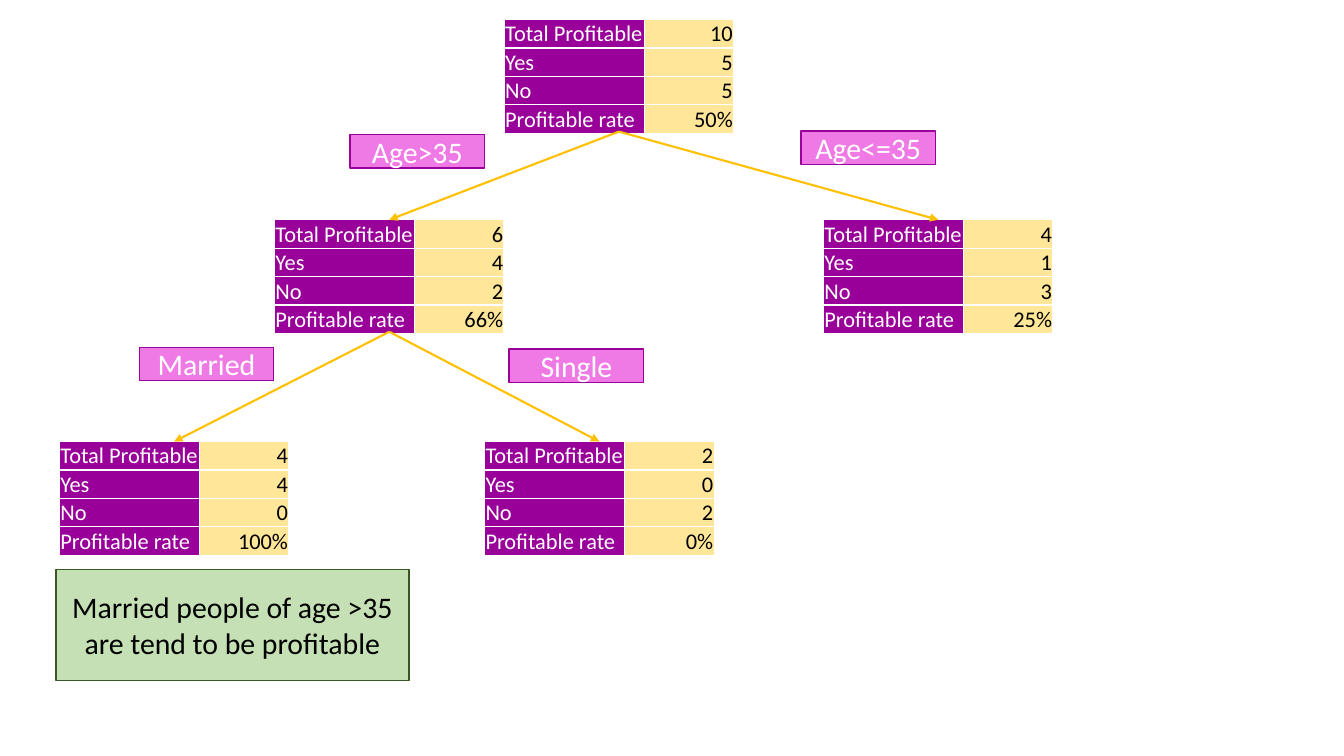
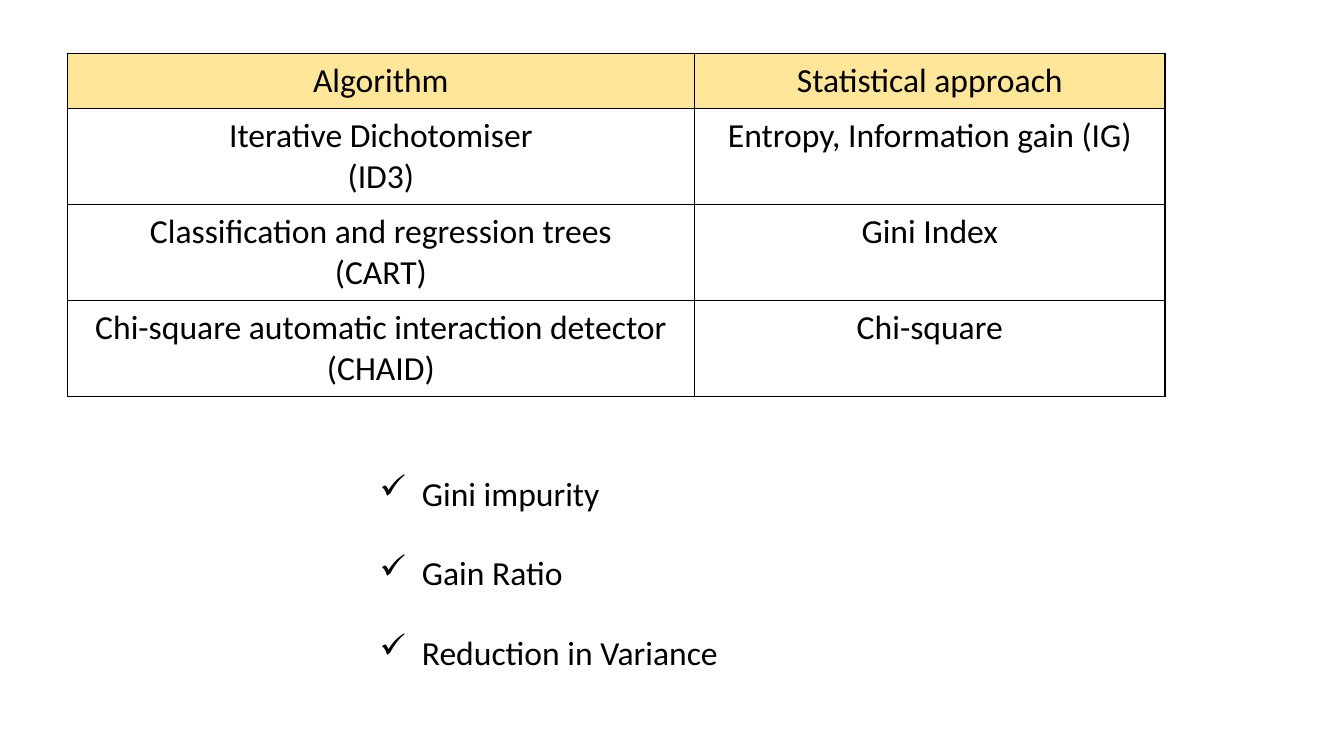
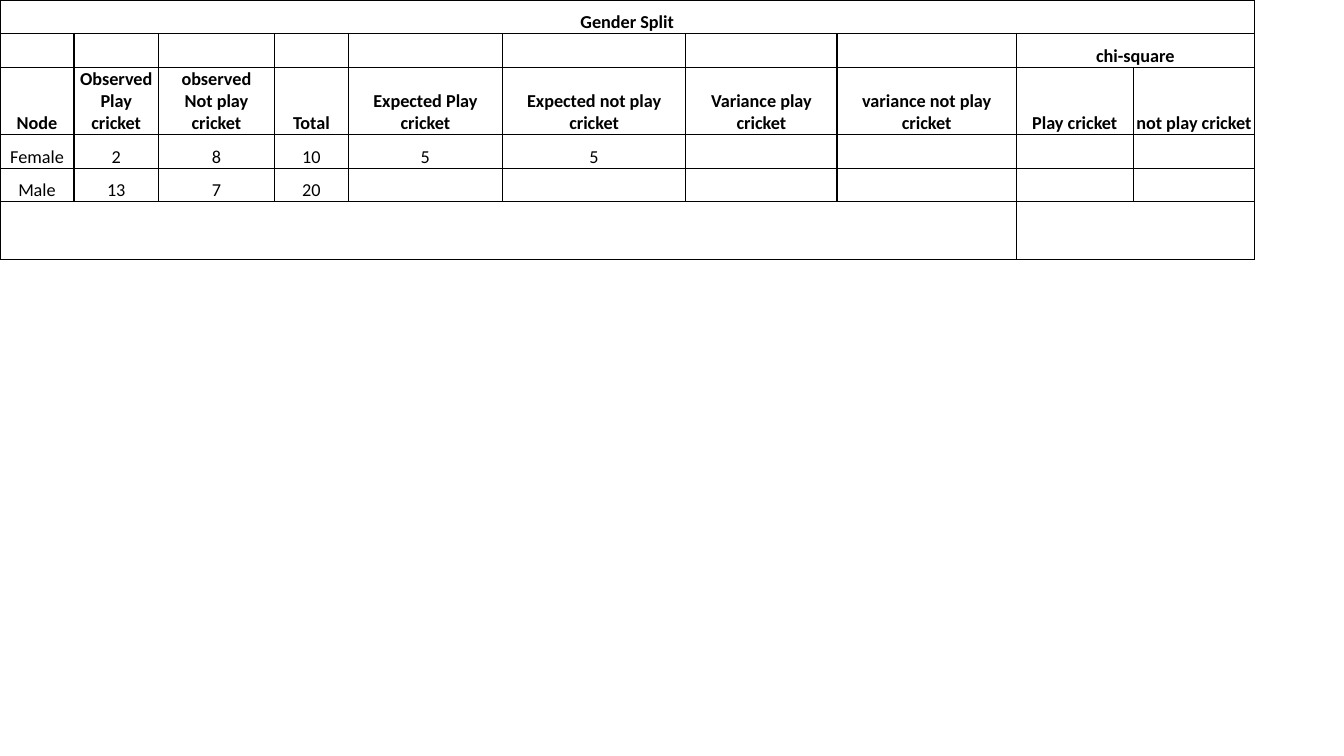
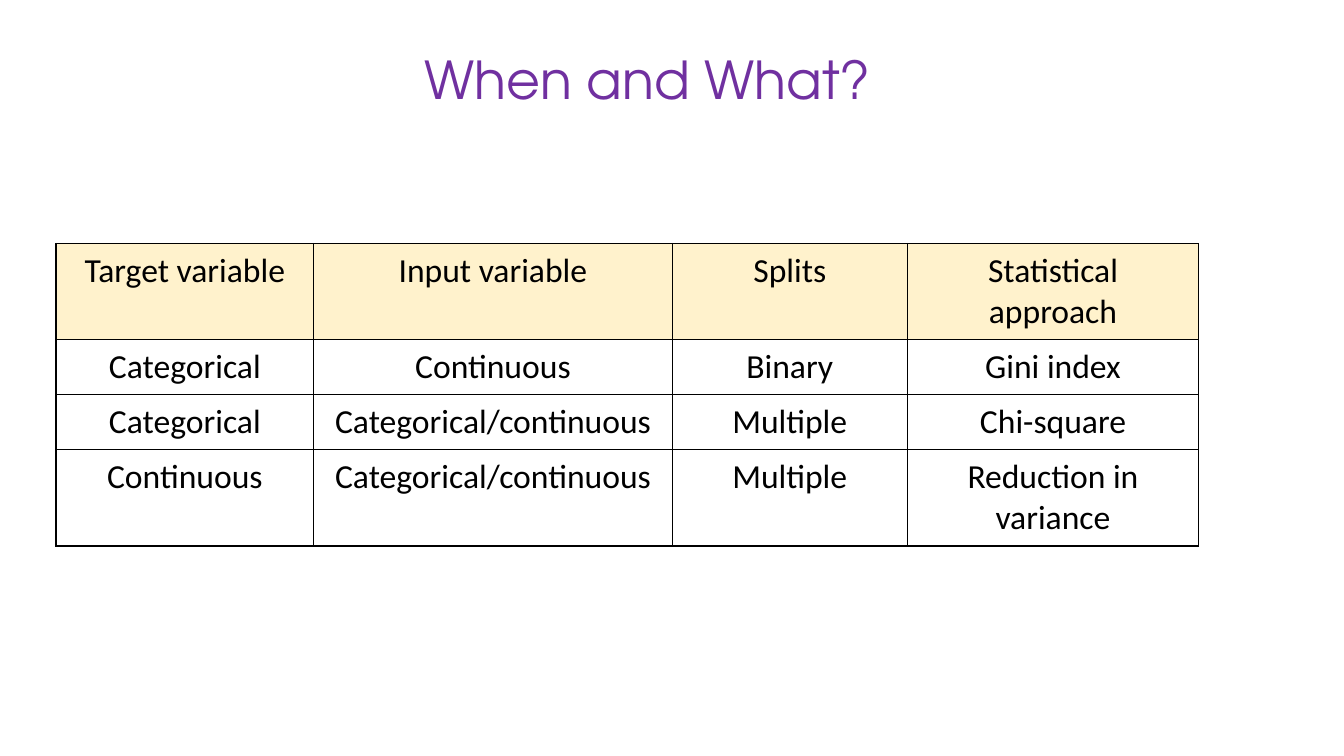
import pptx
import pptx.dml.color
import pptx.enum.shapes
import pptx.enum.text
import pptx.oxml.ns
import pptx.util
import lxml.etree

# Shared look
PURPLE, PINK, GOLD = "990099", "F07AE5", "FFC000"
CREAM, PALE_CREAM = "FFE699", "FFF2CC"
GREEN, DARK_GREEN = "C5E0B4", "385723"
TITLE_PURPLE, BLACK, WHITE = "7030A0", "000000", "FFFFFF"
BODY_FONT, TITLE_FONT = "Calibri", "TeX Gyre Adventor"
TIGHT = (0.01, 0.01, 0.01, 0)
ROOMY = (0.13, 0.07, 0.13, 0.07)
LABEL_SIZE = 21.3

ALIGN = pptx.enum.text.PP_ALIGN
ANCHOR = pptx.enum.text.MSO_ANCHOR
colour = pptx.dml.color.RGBColor.from_string
qualified = pptx.oxml.ns.qn

deck = pptx.Presentation()
deck.slide_width = pptx.util.Inches(13.33)
deck.slide_height = pptx.util.Inches(7.5)
# Square grid: 27 rows high, 48 columns wide
UNIT = deck.slide_height / 27


def write(frame, text, size=24, color=BLACK, font=BODY_FONT, bold=False,
          align=ALIGN.LEFT, bullet=None, gap=0):
    """Write each line of text as a paragraph."""
    for index, line in enumerate(text.split("\n")):
        para = frame.add_paragraph() if index else frame.paragraphs[0]
        para.alignment = align
        if bullet:
            properties = para._p.get_or_add_pPr()
            hang = pptx.util.Inches(0.42)
            properties.set("marL", str(hang))
            properties.set("indent", str(-hang))
            lxml.etree.SubElement(properties, qualified("a:buChar"), char=bullet)
        if index and gap:
            para.space_before = pptx.util.Pt(gap)
        if line:
            span = para.add_run()
            span.text = line
            span.font.size = pptx.util.Pt(size)
            span.font.name = font
            span.font.bold = bold
            span.font.color.rgb = colour(color)


def draw_table(page, left, top, columns, rows, cells, look, border, margins, anchor):
    """Draw a table; look(row, column) gives a cell's fill and text format."""
    table = page.shapes.add_table(
        len(rows), len(columns), int(left * UNIT), int(top * UNIT),
        int(sum(columns) * UNIT), int(sum(rows) * UNIT)).table
    table.first_row = table.horz_banding = False
    for column, width in zip(table.columns, columns):
        column.width = int(width * UNIT)
    for row_index, height in enumerate(rows):
        table.rows[row_index].height = int(height * UNIT)
        for column_index in range(len(columns)):
            cell = table.cell(row_index, column_index)
            fill, text_format = look(row_index, column_index)
            (cell.margin_left, cell.margin_top, cell.margin_right,
             cell.margin_bottom) = map(pptx.util.Inches, margins)
            cell.vertical_anchor = anchor
            # Borders come before the fill in the cell's properties
            for side in ("a:lnL", "a:lnR", "a:lnT", "a:lnB"):
                edge = lxml.etree.SubElement(
                    cell._tc.get_or_add_tcPr(), qualified(side), w=str(pptx.util.Pt(1)))
                solid = lxml.etree.SubElement(edge, qualified("a:solidFill"))
                lxml.etree.SubElement(solid, qualified("a:srgbClr"), val=border)
            cell.fill.solid()
            cell.fill.fore_color.rgb = colour(fill)
            write(cell.text_frame, cells[row_index][column_index], **text_format)
    return table


pages = [deck.slides.add_slide(deck.slide_layouts[6]) for _ in range(4)]

# Slide 1: decision tree
page = pages[0]
node_columns, node_rows = (5, 3.2), (1, 1, 1, 1)
node_names = ("Total Profitable", "Yes", "No", "Profitable rate")
# Left, top, parent node, values
nodes = [
    (18, 0.7, None, ("10", "5", "5", "50%")),
    (9.8, 7.85, 0, ("6", "4", "2", "66%")),
    (29.4, 7.85, 0, ("4", "1", "3", "25%")),
    (2.12, 15.77, 1, ("4", "4", "0", "100%")),
    (17.3, 15.77, 1, ("2", "0", "2", "0%")),
]
node_looks = (
    (PURPLE, {"size": 16, "color": WHITE}),
    (CREAM, {"size": 16, "align": ALIGN.RIGHT}),
)
for left, top, parent, values in nodes:
    draw_table(page, left, top, node_columns, node_rows,
               list(zip(node_names, values)),
               lambda row, column: node_looks[column], WHITE, TIGHT, ANCHOR.BOTTOM)

# Arrows from the bottom of a parent to the top of its child
middle = sum(node_columns) / 2
for left, top, parent, values in nodes[1:]:
    parent_left, parent_top = nodes[parent][:2]
    ends = (parent_left + middle, parent_top + sum(node_rows), left + middle, top)
    arrow = page.shapes.add_connector(
        pptx.enum.shapes.MSO_CONNECTOR.STRAIGHT, *(int(end * UNIT) for end in ends))
    arrow.line.color.rgb = colour(GOLD)
    arrow.line.width = pptx.util.Pt(1.5)
    lxml.etree.SubElement(arrow.line._get_or_add_ln(), qualified("a:tailEnd"),
                          type="triangle")
    lxml.etree.SubElement(arrow._element.spPr, qualified("a:effectLst"))

# Branch labels and conclusion
label_look = (4.8, 1.2, PINK, PURPLE, WHITE)
boxes = [
    ("Age<=35", 28.6, 4.68, *label_look),
    ("Age>35", 12.5, 4.8, *label_look),
    ("Married", 4.97, 12.4, *label_look),
    ("Single", 18.18, 12.46, *label_look),
    ("Married people of age >35 are tend to be profitable", 2, 20.34,
     12.6, 3.96, GREEN, DARK_GREEN, BLACK),
]
for text, left, top, width, height, fill, outline, ink in boxes:
    box = page.shapes.add_shape(
        pptx.enum.shapes.MSO_SHAPE.RECTANGLE,
        *(int(length * UNIT) for length in (left, top, width, height)))
    box.shadow.inherit = False
    box.fill.solid()
    box.fill.fore_color.rgb = colour(fill)
    box.line.color.rgb = colour(outline)
    box.line.width = pptx.util.Pt(1)
    box.text_frame.word_wrap = True
    box.text_frame.vertical_anchor = ANCHOR.MIDDLE
    write(box.text_frame, text, size=LABEL_SIZE, color=ink, align=ALIGN.CENTER)

# Slide 2: algorithms and their measures
page = pages[1]
centred = {"align": ALIGN.CENTER}
algorithms = [
    ("Algorithm", "Statistical approach"),
    ("Iterative Dichotomiser\n(ID3)", "Entropy, Information gain (IG)"),
    ("Classification and regression trees\n(CART)", "Gini Index"),
    ("Chi-square automatic interaction detector\n(CHAID)", "Chi-square"),
]
draw_table(page, 2.4, 1.9, (22.4, 16.8), (1.95, 3.35, 3.35, 3.35), algorithms,
           lambda row, column: (WHITE if row else CREAM, centred),
           BLACK, ROOMY, ANCHOR.TOP)

measures = page.shapes.add_textbox(
    *(int(length * UNIT) for length in (13.2, 16.7, 14.8, 7.63)))
measures.text_frame.word_wrap = True
write(measures.text_frame, "Gini impurity\nGain Ratio\nReduction in Variance",
      bullet="✓", gap=28)

# Slide 3: chi-square worksheet
page = pages[2]
gender_split = [
    ["Gender Split"],
    [""] * 8 + ["chi-square"],
    ["Node", "Observed\nPlay cricket", "observed\nNot play cricket", "Total",
     "Expected Play cricket", "Expected not play cricket", "Variance play cricket",
     "variance not play cricket", "Play cricket", "not play cricket"],
    ["Female", "2", "8", "10", "5", "5"],
    ["Male", "13", "7", "20"],
    [],
]
worksheet = draw_table(
    page, 0, 0, (2.64, 3.02, 4.14, 2.64, 5.5, 6.55, 5.4, 6.4, 4.18, 4.32),
    (1.2, 1.2, 2.4, 1.2, 1.2, 2.06),
    [row + [""] * (10 - len(row)) for row in gender_split],
    lambda row, column: (WHITE, {"size": 13, "bold": row < 3, **centred}),
    BLACK, TIGHT, ANCHOR.BOTTOM)
for row, first, last in ((0, 0, 9), (1, 8, 9), (5, 0, 7), (5, 8, 9)):
    worksheet.cell(row, first).merge(worksheet.cell(row, last))

# Slide 4: choosing an approach
page = pages[3]
choices = [
    ("Target variable", "Input variable", "Splits", "Statistical approach"),
    ("Categorical", "Continuous", "Binary", "Gini index"),
    ("Categorical", "Categorical/continuous", "Multiple", "Chi-square"),
    ("Continuous", "Categorical/continuous", "Multiple", "Reduction in variance"),
]
draw_table(page, 2, 8.7, (9.2, 12.8, 8.4, 10.4), (3.35, 1.95, 1.95, 3.35), choices,
           lambda row, column: (WHITE if row else PALE_CREAM, centred),
           BLACK, ROOMY, ANCHOR.TOP)

title = page.shapes.add_textbox(
    *(int(length * UNIT) for length in (14.8, 1.5, 16.85, 2.63)))
title.text_frame.word_wrap = False
write(title.text_frame, "When and What?", size=37.3, color=TITLE_PURPLE, font=TITLE_FONT)

deck.save("out.pptx")
